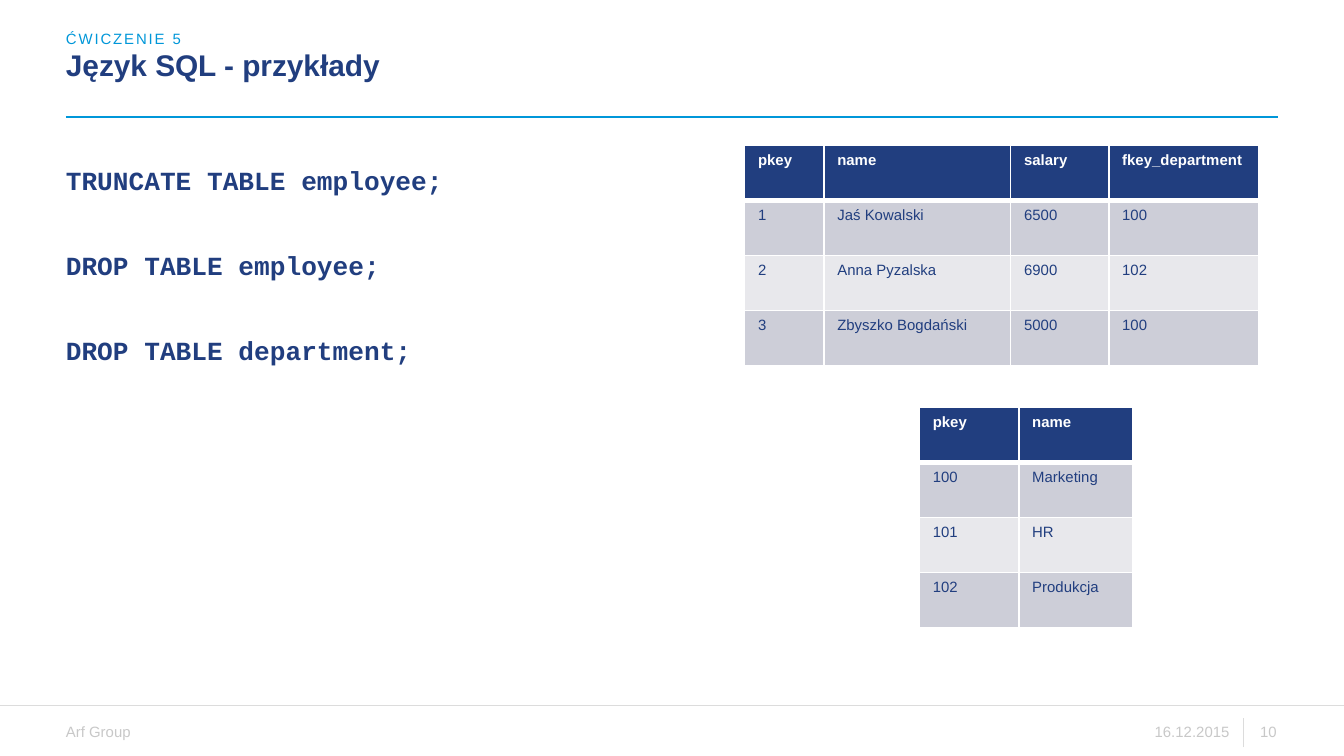
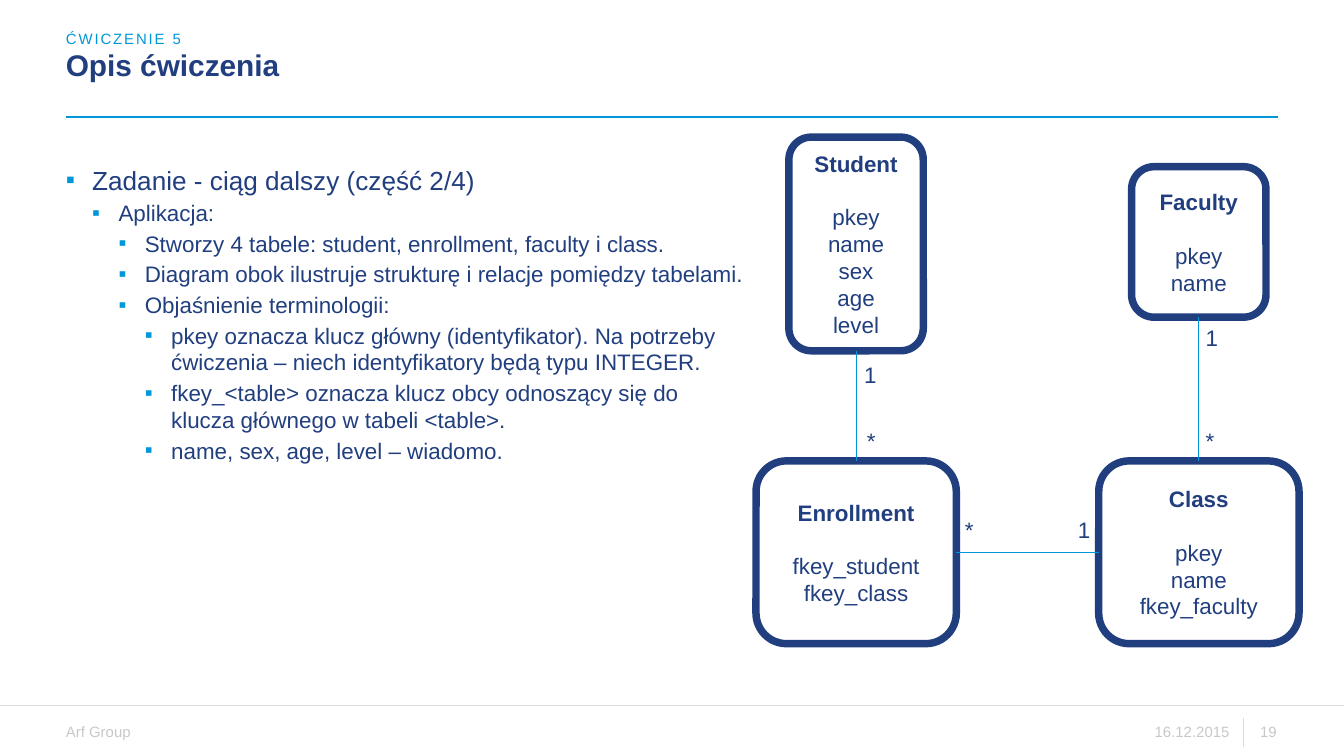
"""Build two slides of a database exercise."""
from dataclasses import dataclass
from lxml import etree
from pptx import Presentation
from pptx.dml.color import RGBColor
from pptx.enum import shapes as sh, text as tx
from pptx.oxml import ns
from pptx.util import Inches, Pt


@dataclass(frozen=True)
class Theme:
    """Colours, fonts and type sizes."""
    navy: str = "213E7F"
    blue: str = "0097D9"
    white: str = "FFFFFF"
    rule: str = "DCDCDC"
    grey: str = "C8C8C8"
    dark: str = "CDCED8"
    light: str = "E8E8EC"
    sans: str = "Arial"
    mono: str = "Courier New"
    small: int = 8
    text: int = 12
    lead: int = 14
    head: int = 16


T = Theme()
LEFT, RIGHT = 0.49, 9.51
PAD = 0.12
LEFT_AL, MID, RIGHT_AL = tx.PP_ALIGN.LEFT, tx.PP_ALIGN.CENTER, tx.PP_ALIGN.RIGHT


def rgb(code):
    """Turn a hex code into a colour."""
    return RGBColor.from_string(code)


def sub(node, tag, **attrs):
    """Append a drawing element to a node."""
    return etree.SubElement(node, ns.qn("a:" + tag), attrs)


def style(par, size, color=T.navy, bold=False, name=T.sans, align=LEFT_AL, before=0):
    """Format one paragraph."""
    par.alignment, par.space_before = align, Pt(before)
    font = par.font
    font.size, font.bold, font.name = Pt(size), bold, name
    font.color.rgb = rgb(color)


def place(shape, box):
    """Move a shape to a box."""
    shape.left, shape.top, shape.width, shape.height = map(Inches, box)


def frame(shape, anchor=tx.MSO_ANCHOR.TOP, pad=0, wrap=True, grow=False):
    """Set up the text frame of a shape."""
    tf = shape.text_frame
    tf.margin_left = tf.margin_right = tf.margin_top = tf.margin_bottom = Inches(pad)
    tf.vertical_anchor, tf.word_wrap = anchor, wrap
    fit = tx.MSO_AUTO_SIZE
    tf.auto_size = fit.SHAPE_TO_FIT_TEXT if grow else fit.NONE
    return tf


def holder(slide, idx, box, **opts):
    """Place a template placeholder and return its frame."""
    shape = slide.placeholders[idx]
    place(shape, box)
    return frame(shape, **opts)


def fill(tf, lines):
    """Write one paragraph per line."""
    tf.text = "\n".join(lines)
    return tf.paragraphs


def label(slide, box, words, size, color, align=LEFT_AL, anchor=tx.MSO_ANCHOR.TOP):
    """Add a short unwrapped text."""
    shape = slide.shapes.add_textbox(*map(Inches, box))
    tf = frame(shape, anchor, wrap=False, grow=True)
    style(fill(tf, [words])[0], size, color, align=align)


def line(slide, ends, color, width):
    """Draw a straight line without shadow."""
    link = slide.shapes.add_connector(sh.MSO_CONNECTOR.STRAIGHT, *map(Inches, ends))
    link.line.color.rgb, link.line.width = rgb(color), Pt(width)
    sub(link._element.spPr, "effectLst")
    return link


def header(slide, title, box):
    """Place the kicker, title and rule."""
    x, y, w, h = box
    tf = holder(slide, 0, (x, y + 0.16, w, 0.24), grow=True)
    par = fill(tf, [title])[0]
    style(par, T.head, bold=True)
    par.line_spacing = Pt(17)
    tf = holder(slide, 1, (x, y, w, 0.13), anchor=tx.MSO_ANCHOR.BOTTOM, grow=True)
    par = fill(tf, ["ĆWICZENIE 5"])[0]
    plain(par)
    style(par, T.small, T.blue)
    par.runs[0]._r.get_or_add_rPr().set("spc", "100")
    line(slide, (x, y + h, RIGHT, y + h), T.blue, 0.75)


def footer(slide, number, top):
    """Place the footer band."""
    line(slide, (-0.03, top, 10.03, top), T.rule, 0.75)
    line(slide, (9.25, top + 0.31, 9.25, top + 0.09), T.rule, 0.75)
    parts = ((LEFT, 0.57, "Arf Group", LEFT_AL), (8.58, 0.57, "16.12.2015", RIGHT_AL),
             (9.28, 0.22, str(number), RIGHT_AL))
    for x, w, words, align in parts:
        label(slide, (x, top + 0.13, w, 0.13), words, T.small, T.grey, align,
              tx.MSO_ANCHOR.MIDDLE)


def plain(par):
    """Take the bullet off a paragraph."""
    prop = par._p.get_or_add_pPr()
    prop.set("marL", "0")
    prop.set("indent", "0")
    sub(prop, "buNone")


def bullet(par, level):
    """Give a paragraph the square bullet of its level."""
    par.level = level
    prop = par._p.get_or_add_pPr()
    prop.set("marL", str(Pt(14.1 * (level + 1))))
    prop.set("indent", str(-Pt(14.1)))
    sub(sub(prop, "buClr"), "srgbClr", val=T.blue)
    sub(prop, "buFont", typeface=T.sans)
    sub(prop, "buChar", char="▪")


def code(slide, box, lines):
    """Fill the body with spaced code lines."""
    for n, par in enumerate(fill(holder(slide, 2, box), lines)):
        plain(par)
        style(par, T.lead, bold=True, name=T.mono, before=28.75 if n else 6)


def outline(slide, box, items):
    """Fill the body with a bulleted outline."""
    pars = fill(holder(slide, 2, box), [words for _, words in items])
    for par, (level, _) in zip(pars, items):
        bullet(par, level)
        style(par, T.text if level else T.lead, before=2 if level else 6)


def edges(cell, base):
    """Draw white cell borders."""
    prop = cell._tc.get_or_add_tcPr()
    for n, side in enumerate("LRTB"):
        width = base if side == "B" else 1
        edge = etree.Element(ns.qn("a:ln" + side), w=str(Pt(width)))
        sub(sub(edge, "solidFill"), "srgbClr", val=T.white)
        prop.insert(n, edge)


def grid(slide, spot, widths, rows, high=0.41):
    """Add a banded table at a spot."""
    size = (sum(widths), high * len(rows))
    table = slide.shapes.add_table(len(rows), len(widths),
                                   *map(Inches, spot + size)).table
    for col, width in zip(table.columns, widths):
        col.width = Inches(width)
    for r, row in enumerate(rows):
        for c, words in enumerate(row):
            cell = table.cell(r, c)
            cell.text = words
            top = r == 0
            style(cell.text_frame.paragraphs[0], T.small, T.white if top else T.navy, top)
            cell.fill.solid()
            cell.fill.fore_color.rgb = rgb(T.navy if top else (T.light, T.dark)[r % 2])
            edges(cell, 3 if top else 1)


def entity(slide, box, name, fields):
    """Add a rounded box centred on the given x."""
    mid, y, w, h = box
    shape = slide.shapes.add_shape(sh.MSO_SHAPE.ROUNDED_RECTANGLE,
                                   *map(Inches, (mid - w / 2, y, w, h)))
    shape.shadow.inherit = False
    shape.fill.solid()
    shape.fill.fore_color.rgb = rgb(T.white)
    shape.line.color.rgb, shape.line.width = rgb(T.navy), Pt(4)
    pars = fill(frame(shape, tx.MSO_ANCHOR.MIDDLE, PAD), [name] + fields)
    for n, par in enumerate(pars):
        style(par, T.text, bold=n == 0, align=MID)
    pars[0].space_after = Pt(14.3)
    return shape


def join(slide, start, end, sites):
    """Link two entities at their sites."""
    link = line(slide, (0, 0, 0, 0), T.blue, 0.5)
    link.begin_connect(start, sites[0])
    link.end_connect(end, sites[1])


def diagram(slide, box):
    """Draw the entities and their relations."""
    x, y, w, h = box
    near, far = x + 0.74, x + w - 0.75
    low = y + h - 1.36
    pupil = entity(slide, (near, y, 1, 1.59), "Student",
                   ["pkey", "name", "sex", "age", "level"])
    dept = entity(slide, (far, y + 0.22, 1, 1.12), "Faculty", ["pkey", "name"])
    group = entity(slide, (far, low, 1.49, 1.36), "Class",
                   ["pkey", "name", "fkey_faculty"])
    entry = entity(slide, (near, low, 1.49, 1.36), "Enrollment",
                   ["fkey_student", "fkey_class"])
    join(slide, pupil, entry, (2, 0))
    join(slide, entry, group, (3, 1))
    join(slide, dept, group, (2, 0))
    marks = (("*", near + 0.08, low - 0.25), ("1", near + 0.06, y + 1.67),
             ("*", near + 0.81, low + 0.41), ("1", far - 0.9, low + 0.41),
             ("*", far + 0.05, low - 0.25), ("1", far + 0.05, y + 1.39))
    for sign, left, top in marks:
        label(slide, (left, top, 0.06 if sign == "*" else 0.09, 0.2), sign, T.text, T.navy)


def page(deck, title, number):
    """Add a slide with header and footer."""
    slide = deck.slides.add_slide(deck.slide_layouts[3])
    header(slide, title, (LEFT, 0.22, 7.32, 0.65))
    footer(slide, number, 5.25)
    return slide


def main():
    """Build and save the deck."""
    deck = Presentation()
    deck.slide_width = Inches(10)
    deck.slide_height = deck.slide_width * 9 // 16

    slide = page(deck, "Język SQL - przykłady", 10)
    code(slide, (LEFT, 1.22, 5.06, 3.73),
         ["TRUNCATE TABLE employee;", "DROP TABLE employee;", "DROP TABLE department;"])
    grid(slide, (6.84, 3.03), (0.74, 0.85),
         [("pkey", "name"), ("100", "Marketing"), ("101", "HR"), ("102", "Produkcja")])
    grid(slide, (5.54, 1.08), (0.59, 1.39, 0.73, 1.12),
         [("pkey", "name", "salary", "fkey_department"),
          ("1", "Jaś Kowalski", "6500", "100"),
          ("2", "Anna Pyzalska", "6900", "102"),
          ("3", "Zbyszko Bogdański", "5000", "100")])

    slide = page(deck, "Opis ćwiczenia", 19)
    outline(slide, (LEFT, 1.22, 5.07, 3.68), [
        (0, "Zadanie - ciąg dalszy (część 2/4)"),
        (1, "Aplikacja:"),
        (2, "Stworzy 4 tabele: student, enrollment, faculty i class."),
        (2, "Diagram obok ilustruje strukturę i relacje pomiędzy tabelami."),
        (2, "Objaśnienie terminologii:"),
        (3, "pkey oznacza klucz główny (identyfikator). Na potrzeby ćwiczenia "
            "– niech identyfikatory będą typu INTEGER."),
        (3, "fkey_<table> oznacza klucz obcy odnoszący się do klucza głównego "
            "w tabeli <table>."),
        (3, "name, sex, age, level – wiadomo.")])
    diagram(slide, (5.63, 1.02, 4.04, 3.77))
    deck.save("out.pptx")


main()
